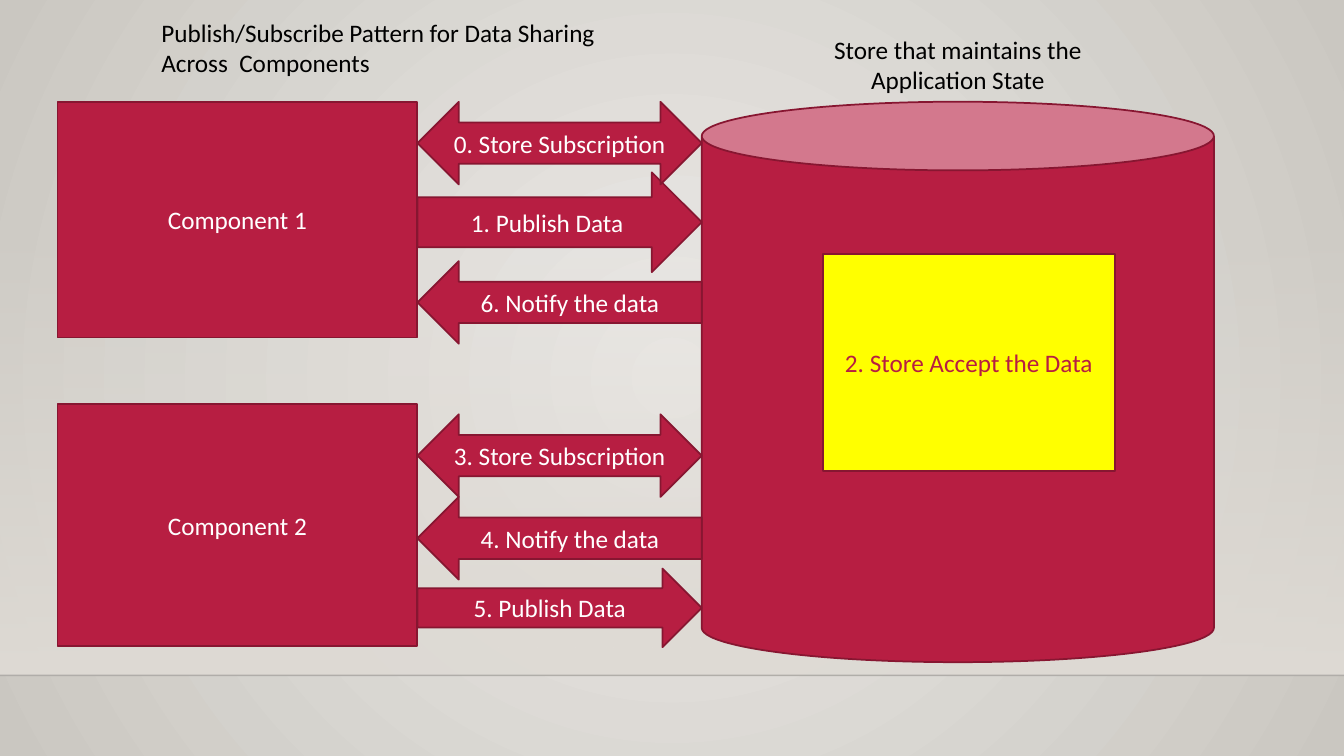
from dataclasses import dataclass

from lxml.etree import SubElement
from pptx import Presentation
from pptx.dml.color import RGBColor
from pptx.enum.shapes import MSO_CONNECTOR, MSO_SHAPE as Preset
from pptx.enum.text import MSO_ANCHOR, MSO_AUTO_SIZE, PP_ALIGN
from pptx.oxml.ns import qn
from pptx.shapes.autoshape import Shape
from pptx.slide import Slide
from pptx.text.text import TextFrame
from pptx.util import Inches, Pt


@dataclass(frozen=True)
class Theme:
    font: str = "Calibri"
    text_size: float = 18
    outline_width: float = 1.25
    crimson: str = "B71E42"
    outline: str = "871631"
    highlight: str = "FFFF00"
    light_text: str = "FFFFFF"
    dark_text: str = "000000"
    backdrop_center: str = "ECEAE7"
    backdrop_edge: str = "CAC7C1"
    wall: str = "DFDBD5"
    floor_line: str = "000001"


@dataclass(frozen=True)
class Block:
    preset: Preset
    left: float
    top: float
    width: float
    height: float
    label: str = ""
    fill: str = Theme.crimson
    color: str = Theme.light_text


@dataclass(frozen=True)
class Message:
    preset: Preset
    top: float
    height: float
    label: str


THEME = Theme()
SLIDE_WIDTH, SLIDE_HEIGHT = 13.33, 7.5
FLOOR = 6.7
WALL_TOP = 2.21
COMPONENT_LEFT, COMPONENT_WIDTH = 0.57, 3.57
STORE_LEFT, STORE_TOP = 6.96, 1.01
MESSAGE_LEFT = COMPONENT_LEFT + COMPONENT_WIDTH
MESSAGE_WIDTH = STORE_LEFT - MESSAGE_LEFT

COMPONENTS = [
    Block(Preset.RECTANGLE, COMPONENT_LEFT, 1.01, COMPONENT_WIDTH, 2.34, "Component 1"),
    Block(Preset.RECTANGLE, COMPONENT_LEFT, 4.01, COMPONENT_WIDTH, 2.4, "Component 2"),
]
STORE = Block(Preset.CAN, STORE_LEFT, STORE_TOP, 5.08, 5.56)
ACCEPTANCE = Block(Preset.RECTANGLE, 8.16, 2.52, 2.9, 2.15, "2. Store Accept the Data",
                   THEME.highlight, THEME.crimson)
MESSAGES = [
    Message(Preset.RIGHT_ARROW, 1.71, 0.99, "1. Publish Data"),
    Message(Preset.LEFT_RIGHT_ARROW, 4.11, 0.82, "3. Store Subscription"),
    Message(Preset.LEFT_ARROW, 4.93, 0.82, "4. Notify the data"),
    Message(Preset.LEFT_RIGHT_ARROW, 1.01, 0.82, "0. Store Subscription"),
    Message(Preset.RIGHT_ARROW, 5.64, 0.78, "5. Publish Data"),
    Message(Preset.LEFT_ARROW, 2.59, 0.82, "6. Notify the data"),
]


def rgb(code: str) -> RGBColor:
    return RGBColor.from_string(code)


def write_text(frame: TextFrame, text: str, color: str, align: PP_ALIGN,
               anchor: MSO_ANCHOR) -> None:
    frame.text = text
    frame.word_wrap = True
    frame.auto_size = MSO_AUTO_SIZE.NONE
    frame.vertical_anchor = anchor
    paragraph = frame.paragraphs[0]
    paragraph.alignment = align
    paragraph.font.name = THEME.font
    paragraph.font.size = Pt(THEME.text_size)
    paragraph.font.color.rgb = rgb(color)


def set_gradient(owner: Slide | Shape, start: str, end: str) -> None:
    fill = owner.background.fill if isinstance(owner, Slide) else owner.fill
    fill.gradient()
    for stop, code in zip(fill.gradient_stops, (start, end)):
        stop.color.rgb = rgb(code)


def paint_backdrop(slide: Slide) -> None:
    """Fill the background with a gradient that spreads from the centre."""
    set_gradient(slide, THEME.backdrop_center, THEME.backdrop_edge)
    gradient = slide.element.find(".//" + qn("a:gradFill"))
    gradient.remove(gradient.find(qn("a:lin")))
    radial = SubElement(gradient, qn("a:path"))
    radial.set("path", "circle")
    center = SubElement(radial, qn("a:fillToRect"))
    for side in "ltrb":
        center.set(side, "50000")


def set_opacity(color_element, percent: int) -> None:
    SubElement(color_element, qn("a:alpha")).set("val", str(percent * 1000))


def add_wall(slide: Slide) -> None:
    """Draw the wall that fades in downwards and the line where it meets the floor."""
    wall = slide.shapes.add_shape(Preset.RECTANGLE, 0, Inches(WALL_TOP),
                                  Inches(SLIDE_WIDTH), Inches(FLOOR - WALL_TOP))
    wall.shadow.inherit = False
    wall.line.fill.background()
    set_gradient(wall, THEME.wall, THEME.wall)
    wall.fill.gradient_angle = 270
    set_opacity(wall.element.find(".//" + qn("a:srgbClr")), 0)

    floor = slide.shapes.add_connector(MSO_CONNECTOR.STRAIGHT, 0, Inches(FLOOR),
                                       Inches(SLIDE_WIDTH), Inches(FLOOR))
    floor.line.width = Pt(1)
    floor.line.color.rgb = rgb(THEME.floor_line)
    set_opacity(floor.element.find(".//" + qn("a:srgbClr")), 20)
    SubElement(floor.element.spPr, qn("a:effectLst"))


def add_block(slide: Slide, block: Block) -> Shape:
    shape = slide.shapes.add_shape(block.preset, Inches(block.left), Inches(block.top),
                                   Inches(block.width), Inches(block.height))
    shape.shadow.inherit = False
    shape.fill.solid()
    shape.fill.fore_color.rgb = rgb(block.fill)
    shape.line.color.rgb = rgb(THEME.outline)
    shape.line.width = Pt(THEME.outline_width)
    if block.label:
        write_text(shape.text_frame, block.label, block.color, PP_ALIGN.CENTER,
                   MSO_ANCHOR.MIDDLE)
    return shape


def add_title(slide: Slide) -> None:
    title = slide.shapes.title
    title.left, title.top = Inches(1.5), Inches(0.12)
    title.width, title.height = Inches(5.17), Inches(0.71)
    write_text(title.text_frame,
               "Publish/Subscribe Pattern for Data Sharing Across  Components",
               THEME.dark_text, PP_ALIGN.LEFT, MSO_ANCHOR.TOP)


def add_store_caption(slide: Slide) -> None:
    caption = slide.shapes.add_textbox(Inches(7.94), Inches(0.29), Inches(3.12), Inches(0.71))
    write_text(caption.text_frame, "Store that maintains the Application State",
               THEME.dark_text, PP_ALIGN.CENTER, MSO_ANCHOR.TOP)


def main() -> None:
    deck = Presentation()
    deck.slide_width, deck.slide_height = Inches(SLIDE_WIDTH), Inches(SLIDE_HEIGHT)
    slide = deck.slides.add_slide(deck.slide_layouts.get_by_name("Title Only"))

    paint_backdrop(slide)
    add_wall(slide)
    add_title(slide)
    for component in COMPONENTS:
        add_block(slide, component)
    store = add_block(slide, STORE)
    store.adjustments[0] = 0.134
    add_store_caption(slide)
    add_block(slide, ACCEPTANCE)
    for message in MESSAGES:
        add_block(slide, Block(message.preset, MESSAGE_LEFT, message.top, MESSAGE_WIDTH,
                               message.height, message.label))
    deck.save("out.pptx")


if __name__ == "__main__":
    main()
